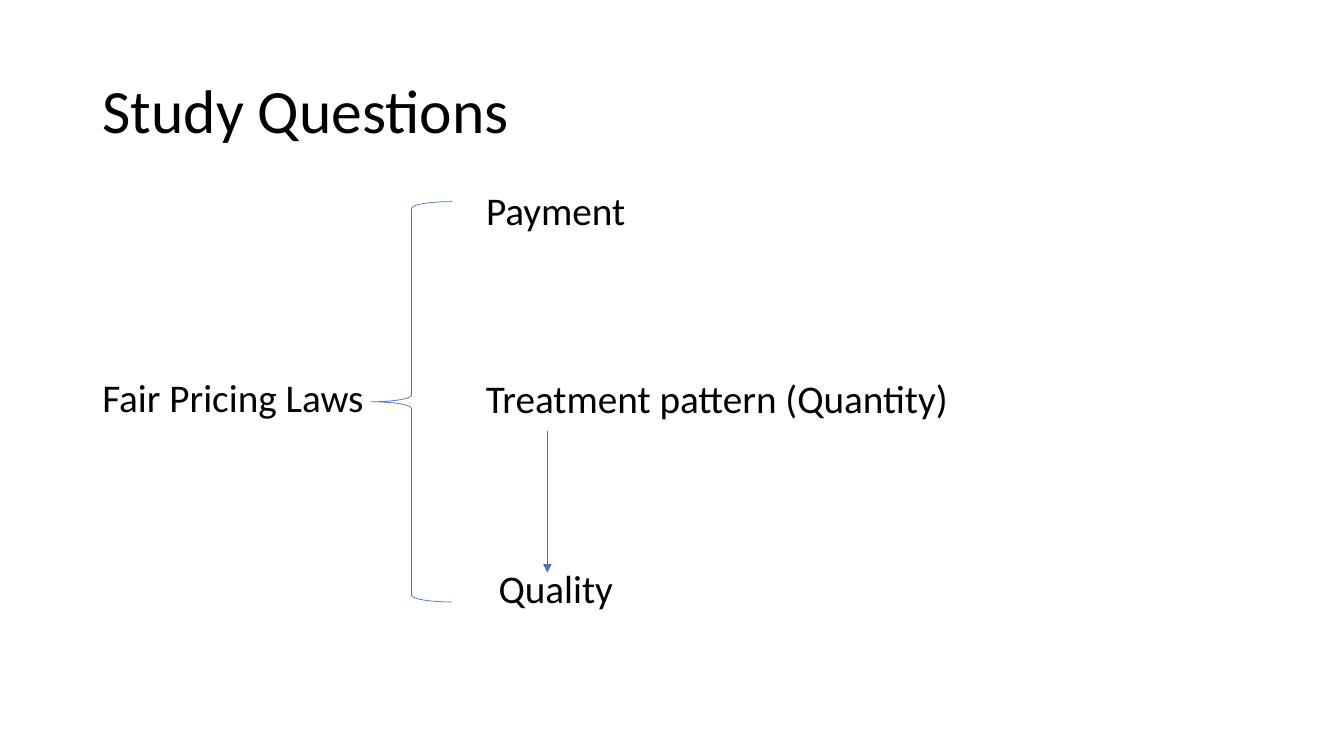
"""Build the study questions slide with a brace diagram."""
from lxml.etree import SubElement
from pptx import Presentation
from pptx.dml.color import RGBColor
from pptx.enum.shapes import MSO_CONNECTOR as Connector, MSO_SHAPE as Preset
from pptx.enum.text import MSO_ANCHOR as Anchor, MSO_AUTO_SIZE as AutoSize, PP_ALIGN as Align
from pptx.oxml.ns import qn
from pptx.util import Pt

COLORS = {"text": "000000", "line": "4472C4"}
FONT = "Calibri"
TITLE_SIZE, LABEL_SIZE, LINE_WIDTH = 44, 28, 0.5
ROW_TOP, ROW_STEP, ROW_HEIGHT = 133, 135, 80


class SlideBuilder:
    """Hold the style and the current slide."""

    def __init__(self, slide):
        """Keep the slide to draw on."""
        self.slide = slide

    def set_text(self, shape, box, text, size, anchor=Anchor.TOP, before=0):
        """Place a text shape and format its wording."""
        shape.left, shape.top, shape.width, shape.height = map(Pt, box)
        frame = shape.text_frame
        frame.text = text
        frame.word_wrap = True
        frame.auto_size = AutoSize.NONE
        frame.vertical_anchor = anchor
        paragraph = frame.paragraphs[0]
        paragraph.alignment = Align.LEFT
        paragraph.line_spacing = 0.9
        paragraph.space_before = Pt(before)
        font = paragraph.runs[0].font
        font.name, font.size = FONT, Pt(size)
        font.color.rgb = RGBColor.from_string(COLORS["text"])
        return paragraph

    def title(self, text, box):
        """Fill the title placeholder."""
        self.set_text(self.slide.shapes.title, box, text, TITLE_SIZE, Anchor.MIDDLE)

    def body(self, text, box):
        """Fill the body placeholder with one line without a bullet."""
        paragraph = self.set_text(self.slide.placeholders[1], box, text, LABEL_SIZE, before=10)
        properties = paragraph._p.get_or_add_pPr()
        properties.set("marL", "0")
        properties.set("indent", "0")
        SubElement(properties, qn("a:buNone"))

    def label(self, text, box):
        """Add a text box in the label style."""
        shape = self.slide.shapes.add_textbox(*map(Pt, box))
        self.set_text(shape, box, text, LABEL_SIZE, before=10)

    def outline(self, line):
        """Give a line its colour and width."""
        line.color.rgb = RGBColor.from_string(COLORS["line"])
        line.width = Pt(LINE_WIDTH)

    def brace(self, box):
        """Add an unfilled left brace."""
        shape = self.slide.shapes.add_shape(Preset.LEFT_BRACE, *map(Pt, box))
        shape.shadow.inherit = False
        shape.fill.background()
        self.outline(shape.line)

    def arrow(self, start, end):
        """Add a straight arrow."""
        connector = self.slide.shapes.add_connector(Connector.STRAIGHT, *map(Pt, start + end))
        self.outline(connector.line)
        properties = connector._element.spPr
        SubElement(properties.find(qn("a:ln")), qn("a:tailEnd"), type="triangle")
        SubElement(properties, qn("a:effectLst"))


def main():
    """Compose and save the slide."""
    presentation = Presentation()
    presentation.slide_width, presentation.slide_height = Pt(960), Pt(540)
    builder = SlideBuilder(presentation.slides.add_slide(presentation.slide_layouts[1]))
    payment_top, pattern_top, quality_top = (ROW_TOP + ROW_STEP * row for row in range(3))

    builder.title("Study Questions", (66, 29, 828, 104))
    builder.body("Payment", (340, payment_top, 131, ROW_HEIGHT))
    builder.brace((265, 144, 58, 286))
    builder.label("Fair Pricing Laws", (66, pattern_top - 1, 210, ROW_HEIGHT))
    builder.label("Treatment pattern (Quantity)", (340, pattern_top, 391, ROW_HEIGHT))
    builder.label("Quality", (349, quality_top, 131, ROW_HEIGHT))
    builder.arrow((391, 308), (391, 409))
    presentation.save("out.pptx")


main()
